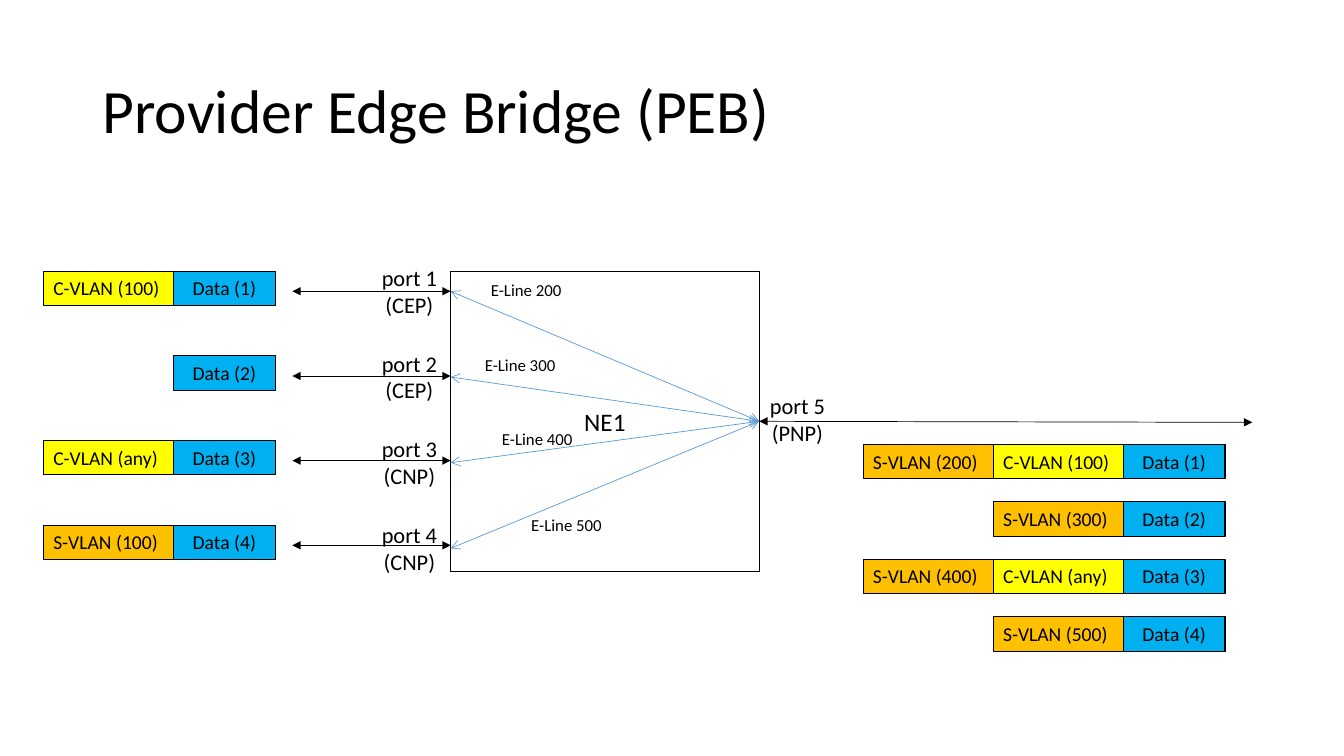
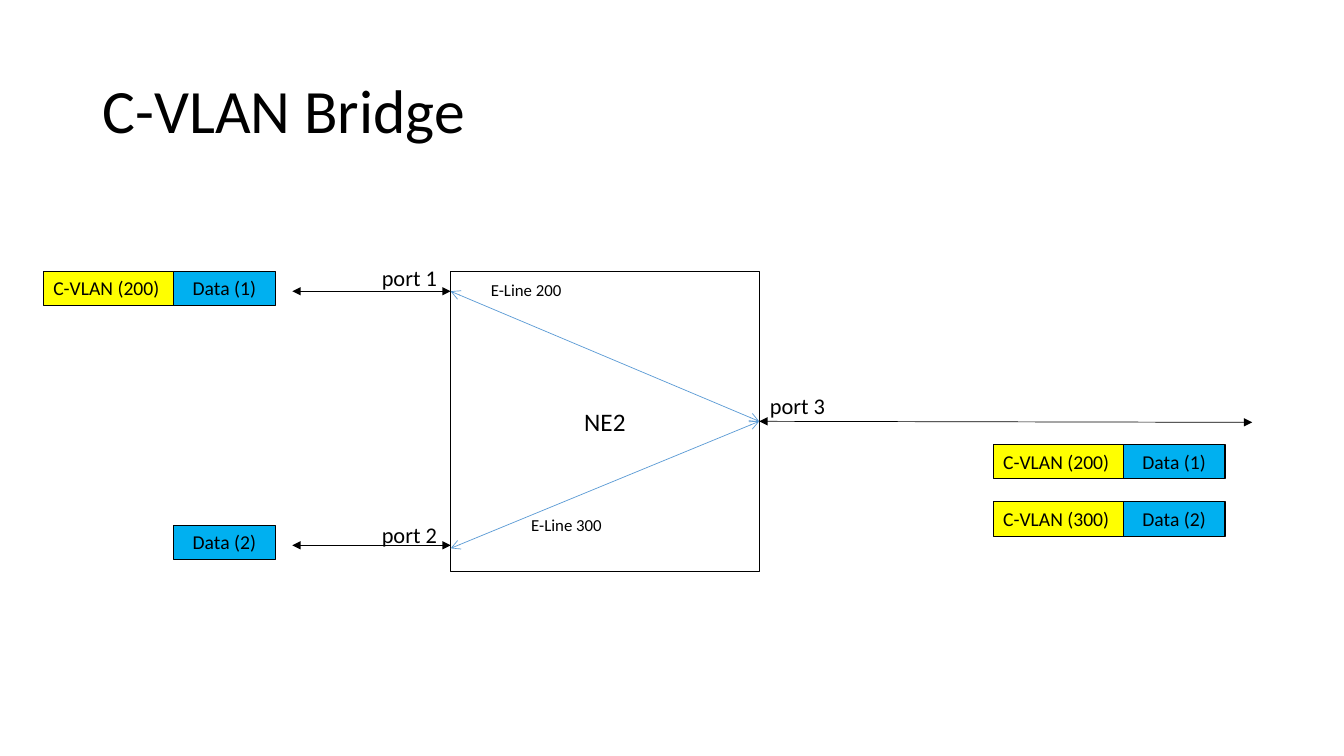
from collections import namedtuple

from lxml import etree
from pptx import Presentation
from pptx.dml.color import RGBColor
from pptx.enum.shapes import MSO_CONNECTOR, MSO_SHAPE
from pptx.enum.text import MSO_ANCHOR, MSO_AUTO_SIZE, PP_ALIGN
from pptx.oxml.ns import qn
from pptx.util import Inches, Pt

RECT, STRAIGHT = MSO_SHAPE.RECTANGLE, MSO_CONNECTOR.STRAIGHT
TOP, MIDDLE = MSO_ANCHOR.TOP, MSO_ANCHOR.MIDDLE
LEFT, CENTER = PP_ALIGN.LEFT, PP_ALIGN.CENTER
GROW, FIXED = MSO_AUTO_SIZE.SHAPE_TO_FIT_TEXT, MSO_AUTO_SIZE.NONE

FONT = "Calibri"
BLACK, SERVICE_BLUE = "000000", "5B9BD5"
FIELD_FILLS = {"C": "FFFF00", "S": "FFC000", "D": "00B0F0"}

Box = namedtuple("Box", "x y w h")
Port = namedtuple("Port", "row label frame service provider_frame")

# Lengths in inches
SLIDE_W, SLIDE_H = 13.33, 7.5
TITLE_BOX = Box(0.92, 0.4, 11.5, 1.45)
BRIDGE_BOX = Box(4.47, 2.69, 3.06, 2.98)
CUSTOMER_BOX = Box(0.43, 2.69, 4.04, 2.98)
PROVIDER_BOX = Box(7.53, 2.69, 4.89, 3.77)
TAG_W, DATA_W, FIELD_H = 1.29, 1.01, 0.34
FRAME_PITCH, PORT_PITCH, PROVIDER_PITCH = 0.84, 0.85, 0.57
LINK_Y, UPLINK_Y = 0.2, 1.49
LINK_W = 1.57
SERVICE_LABELS = [(0.3, 0.04), (0.24, 0.78), (0.41, 1.51), (0.7, 2.37)]

SLIDES = [
    ("Provider Edge Bridge (PEB)", "NE1", "port 5\n(PNP)", [
        Port(0, "port 1\n(CEP)", ["C-VLAN (100)", "Data (1)"], "E-Line 200",
             ["S-VLAN (200)", "C-VLAN (100)", "Data (1)"]),
        Port(1, "port 2\n(CEP)", ["Data (2)"], "E-Line 300",
             ["S-VLAN (300)", "Data (2)"]),
        Port(2, "port 3\n(CNP)", ["C-VLAN (any)", "Data (3)"], "E-Line 400",
             ["S-VLAN (400)", "C-VLAN (any)", "Data (3)"]),
        Port(3, "port 4\n(CNP)", ["S-VLAN (100)", "Data (4)"], "E-Line 500",
             ["S-VLAN (500)", "Data (4)"]),
    ]),
    ("C-VLAN Bridge", "NE2", "port 3", [
        Port(0, "port 1", ["C-VLAN (200)", "Data (1)"], "E-Line 200",
             ["C-VLAN (200)", "Data (1)"]),
        Port(3, "port 2", ["Data (2)"], "E-Line 300",
             ["C-VLAN (300)", "Data (2)"]),
    ]),
]


def color(hex_value):
    """Turn a hex string into a colour."""
    return RGBColor.from_string(hex_value)


def apply(target, values):
    """Set each attribute named in values."""
    for name, value in values.items():
        setattr(target, name, value)


def write(shape, text, size, align=LEFT, anchor=TOP, wrap=True, fit=GROW, spacing=None):
    """Put formatted text into a shape, one paragraph a line."""
    frame = shape.text_frame
    frame.text = text
    apply(frame, {"word_wrap": wrap, "auto_size": fit, "vertical_anchor": anchor})
    for paragraph in frame.paragraphs:
        apply(paragraph, {"alignment": align, "line_spacing": spacing})
        for run in paragraph.runs:
            apply(run.font, {"name": FONT, "size": Pt(size)})
            run.font.color.rgb = color(BLACK)


def add_label(slide, box, text, size, **style):
    """Add a text box."""
    write(slide.shapes.add_textbox(*map(Inches, box)), text, size, **style)


def add_rect(slide, box, text, size, fill=None, **style):
    """Add an outlined rectangle with text."""
    rect = slide.shapes.add_shape(RECT, *map(Inches, box))
    rect.shadow.inherit = False
    if fill:
        rect.fill.solid()
        rect.fill.fore_color.rgb = color(fill)
    else:
        rect.fill.background()
    rect.line.width = Pt(0.75)
    rect.line.color.rgb = color(BLACK)
    write(rect, text, size, **style)


def add_arrow(slide, start, end, hex_value=BLACK, head="triangle"):
    """Add a thin line with an arrowhead at both ends."""
    arrow = slide.shapes.add_connector(STRAIGHT, *map(Inches, start + end))
    arrow.line.width = Pt(0.5)
    arrow.line.color.rgb = color(hex_value)
    for end_name in ("a:headEnd", "a:tailEnd"):
        etree.SubElement(arrow.line._get_or_add_ln(), qn(end_name), type=head)
    etree.SubElement(arrow._element.spPr, qn("a:effectLst"))


def add_frame(slide, right, top, fields):
    """Add a row of tag and data fields that ends at right."""
    for field in reversed(fields):
        is_data = field.startswith("Data")
        width = DATA_W if is_data else TAG_W
        right -= width
        add_rect(slide, Box(right, top, width, FIELD_H), field, 14,
                 FIELD_FILLS[field[0]], align=CENTER if is_data else LEFT)


def add_bridge(slide, box, name, ports):
    """Draw the network element and the services that cross it."""
    add_rect(slide, box, name, 18, align=CENTER, anchor=MIDDLE, wrap=False, fit=FIXED)
    for port in ports:
        port_y = box.y + LINK_Y + port.row * PORT_PITCH
        add_arrow(slide, (box.x, port_y), (box.x + box.w, box.y + UPLINK_Y),
                  SERVICE_BLUE, "arrow")
        dx, dy = SERVICE_LABELS[port.row]
        add_label(slide, Box(box.x + dx, box.y + dy, 0.91, 0.3), port.service, 12,
                  wrap=False)


def add_customer_side(slide, box, ports):
    """Draw the customer frames, links and port labels."""
    right = box.x + box.w
    for port in ports:
        top = box.y + port.row * FRAME_PITCH
        add_frame(slide, box.x + TAG_W + DATA_W, top, port.frame)
        add_arrow(slide, (right - LINK_W, top + LINK_Y), (right, top + LINK_Y))
        label_top = box.y - 0.12 + port.row * PORT_PITCH
        add_label(slide, Box(right - 0.82, label_top, 0.82, 0.64), port.label, 16,
                  align=CENTER)


def add_provider_side(slide, box, uplink, ports):
    """Draw the uplink, its port label and the frames it carries."""
    link_y = box.y + UPLINK_Y
    add_arrow(slide, (box.x, link_y), (box.x + box.w, link_y + 0.01))
    add_label(slide, Box(box.x, link_y - 0.34, 0.76, 0.64), uplink, 16,
              align=CENTER, wrap=False)
    for index, port in enumerate(ports):
        add_frame(slide, box.x + box.w - 0.27, link_y + 0.23 + index * PROVIDER_PITCH,
                  port.provider_frame)


def add_bridge_slide(deck, title, name, uplink, ports):
    """Add one slide that shows a bridge between customer and provider."""
    slide = deck.slides.add_slide(deck.slide_layouts[6])
    add_bridge(slide, BRIDGE_BOX, name, ports)
    add_customer_side(slide, CUSTOMER_BOX, ports)
    add_provider_side(slide, PROVIDER_BOX, uplink, ports)
    add_label(slide, TITLE_BOX, title, 44, anchor=MIDDLE, fit=FIXED, spacing=0.9)


def main():
    """Build and save the deck."""
    deck = Presentation()
    apply(deck, {"slide_width": Inches(SLIDE_W), "slide_height": Inches(SLIDE_H)})
    for content in SLIDES:
        add_bridge_slide(deck, *content)
    deck.save("out.pptx")


main()
